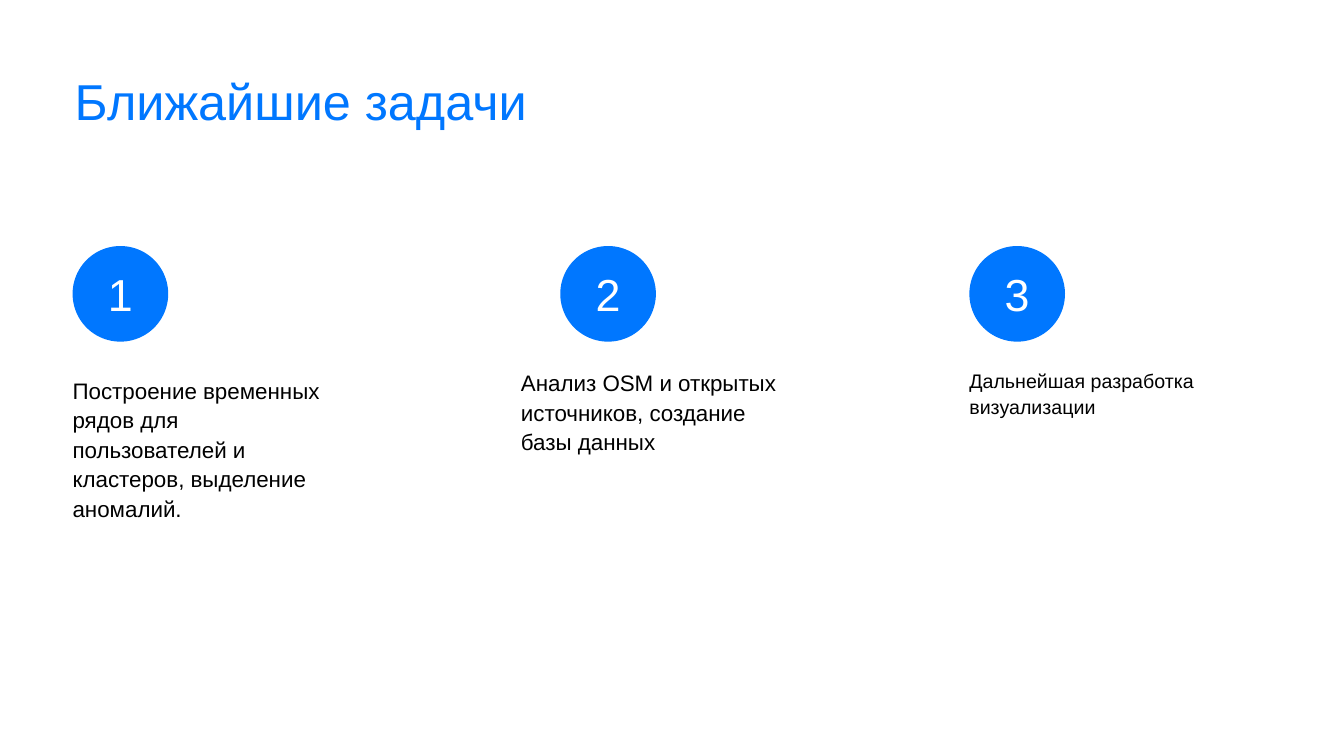
from pptx import Presentation
from pptx import util as u
from pptx.dml.color import RGBColor
from pptx.enum import shapes, text

BLUE = RGBColor(0x00, 0x77, 0xFF)
WHITE = RGBColor(0xFF, 0xFF, 0xFF)
BLACK = RGBColor(0x00, 0x00, 0x00)

LEFT, TOP, STEP, WIDTH = 1.83, 6.2, 11.3, 6.96
DISC = 2.41
TASKS = [
    ("Построение временных рядов для пользователей и кластеров, выделение аномалий.", 16, 0, 3.1),
    ("Анализ OSM и открытых источников, создание базы данных", 16, 0.99, 2.92),
    ("Дальнейшая разработка визуализации", 14, 0, 2.92),
]


def write(frame, words, size, color, space=None, align=None):
    """Put one styled paragraph into a text frame."""
    frame.word_wrap = True
    par = frame.paragraphs[0]
    par.text = words
    par.line_spacing = space
    par.alignment = align
    par.font.name = "Arial"
    par.font.size = u.Pt(size)
    par.font.color.rgb = color


def add_text(slide, box, words, size, color, space):
    """Add a text box with no left inset and return its frame."""
    frame = slide.shapes.add_textbox(*map(u.Cm, box)).text_frame
    frame.margin_left = 0
    write(frame, words, size, color, space)
    return frame


def add_title(slide, box):
    """Add the heading flush with its box."""
    frame = add_text(slide, box, "Ближайшие задачи", 36, BLUE, 0.9)
    frame.margin_top = frame.margin_right = frame.margin_bottom = 0


def add_disc(slide, box, label):
    """Add a numbered blue circle."""
    disc = slide.shapes.add_shape(shapes.MSO_SHAPE.OVAL, *map(u.Cm, box))
    disc.shadow.inherit = False
    disc.fill.solid()
    disc.fill.fore_color.rgb = BLUE
    disc.line.fill.background()
    disc.text_frame.vertical_anchor = text.MSO_ANCHOR.MIDDLE
    write(disc.text_frame, label, 32, WHITE, align=text.PP_ALIGN.CENTER)


def add_task(slide, box, label, words, size, shift, drop):
    """Add one task column: its number above its wording."""
    left, top, width, height = box
    add_text(slide, (left, top + drop, width, height - drop), words, size, BLACK, 1.1)
    add_disc(slide, (left + shift, top, DISC, DISC), label)


def main():
    """Build the slide and save it."""
    deck = Presentation()
    deck.slide_width, deck.slide_height = u.Cm(33.87), u.Cm(19.05)
    slide = deck.slides.add_slide(deck.slide_layouts[6])
    add_title(slide, (1.88, 1.93, 30.2, 3))
    for i, task in enumerate(TASKS):
        add_task(slide, (LEFT + i * STEP, TOP, WIDTH, 9), str(i + 1), *task)
    deck.save("out.pptx")


if __name__ == "__main__":
    main()
